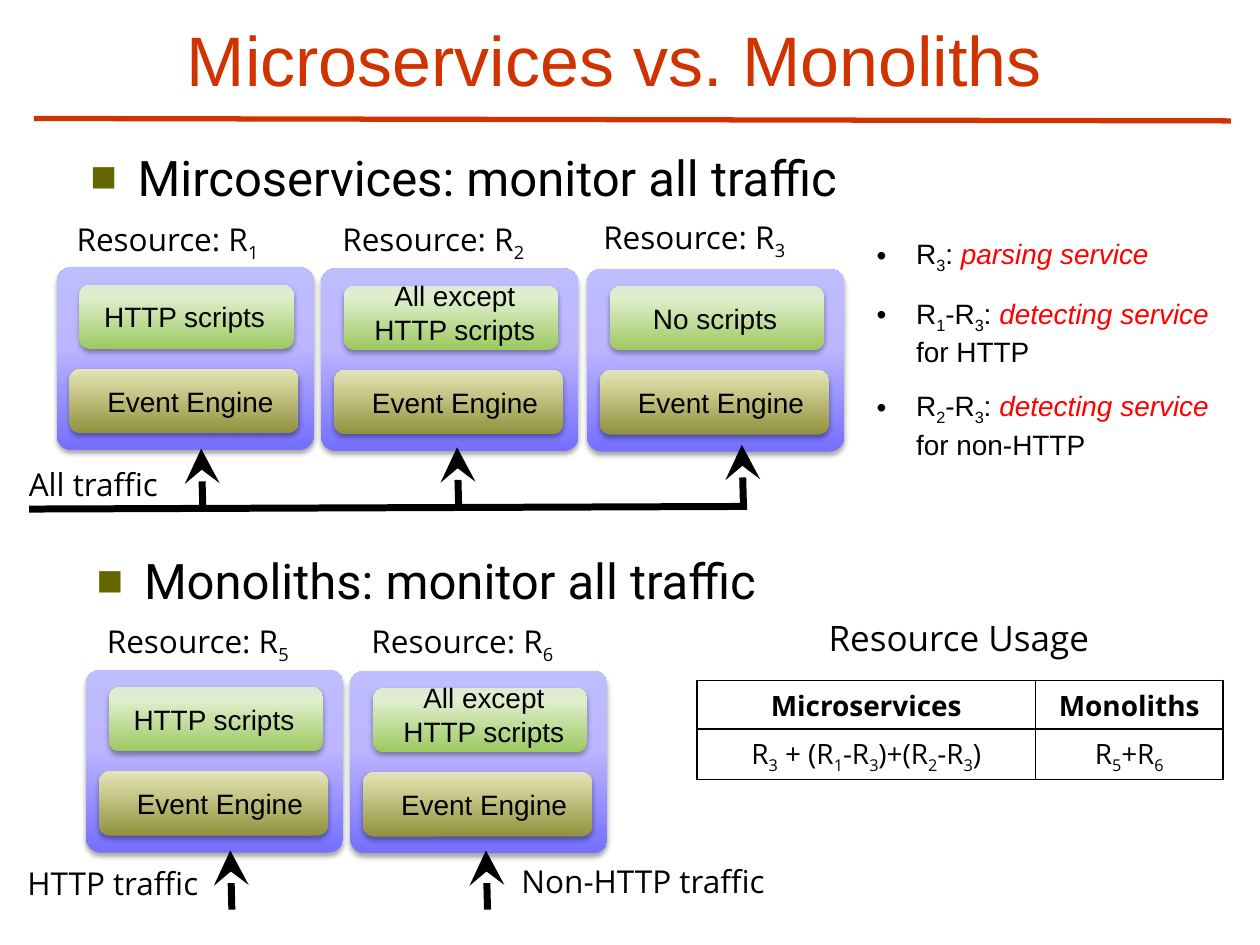
"""Builds the Microservices vs. Monoliths comparison slide."""
from lxml import etree
from pptx import Presentation
from pptx import util as u
from pptx.dml.color import RGBColor
from pptx.enum import shapes, text
from pptx.oxml.ns import qn

COLORS = {"black": "000000", "title": "D03200", "bullet": "666600", "service": "FF0000"}
GRADIENTS = {
    "card": [(0, "746FFF"), (57, "BCB5FF"), (100, "BEBEFF")],
    "engine": [(0, "91913E"), (80, "D5D59D"), (100, "E3E3BE")],
    "scripts": [(0, "9CC960"), (80, "DFEECC"), (100, "E1E8D4")],
}
CENTER = text.PP_ALIGN.CENTER
SANS, LABEL, HEADING = "Arial", "Open Sans", "Roboto"
ONE_LINE, TWO_LINES = (17.3, 15.1, 26.6), (20.5, 2.2, 46)


def rgb(name):
    return RGBColor.from_string(COLORS.get(name, name))


def child(parent, tag, **attrs):
    return etree.SubElement(parent, qn(tag), {k: str(v) for k, v in attrs.items()})


def add_run(p, words, size, font, color="black", bold=False, italic=False, sub=False):
    r = p.add_run()
    r.text = words
    r.font.size, r.font.name = u.Pt(size), font
    r.font.bold, r.font.italic = bold, italic
    r.font.color.rgb = rgb(color)
    if sub:
        r._r.get_or_add_rPr().set("baseline", "-25000")


def add_words(p, words, size, font, color="black", bold=False):
    """Adds runs; _ lowers the next character, * encloses a service name."""
    for i, part in enumerate(words.split("*")):
        style = dict(color="service", italic=True) if i % 2 else dict(color=color, bold=bold)
        for j, piece in enumerate(part.split("_")):
            if j:
                add_run(p, piece[0], size, font, sub=True, **style)
                piece = piece[1:]
            if piece:
                add_run(p, piece, size, font, **style)


def add_bullet(p, char, indent, color=None, percent=None):
    pPr = p._p.get_or_add_pPr()
    pPr.set("marL", str(u.Pt(indent)))
    pPr.set("indent", str(-u.Pt(indent)))
    if color:
        child(child(pPr, "a:buClr"), "a:srgbClr", val=COLORS[color])
    if percent:
        child(pPr, "a:buSzPct", val=percent * 1000)
    child(pPr, "a:buFont", typeface="Arial")
    child(pPr, "a:buChar", char=char)


def add_text(s, box, words, size, font, align=None, color="black", wrap=True):
    sp = s.shapes.add_textbox(*map(u.Pt, box))
    tf = sp.text_frame
    tf.word_wrap = wrap
    p = tf.paragraphs[0]
    p.alignment = align
    add_words(p, words, size, font, color)
    return tf


def add_heading(s, box, words):
    tf = add_text(s, box, words, 28, HEADING)
    add_bullet(tf.paragraphs[0], "■", 27, "bullet", 90)


def add_services(s, box, items):
    tf = add_text(s, box, items[0], 16, SANS)
    for item in items[1:]:
        add_words(tf.add_paragraph(), item, 16, SANS)
    for p in tf.paragraphs:
        p.space_before = p.space_after = u.Pt(6)
        add_bullet(p, "•", 22.5)


def add_block(s, box, kind, corner=0.17):
    sp = s.shapes.add_shape(shapes.MSO_SHAPE.ROUNDED_RECTANGLE, *map(u.Pt, box))
    sp.adjustments[0] = corner
    sp.fill.gradient()
    sp.fill.gradient_angle = 90
    sp.line.fill.background()
    sp.shadow.inherit = False
    spPr = sp._element.spPr
    stops = spPr.find(".//" + qn("a:gsLst"))
    for gs in list(stops):
        stops.remove(gs)
    for pos, color in GRADIENTS[kind]:
        child(child(stops, "a:gs", pos=pos * 1000), "a:srgbClr", val=color)
    shadow = child(spPr.find(qn("a:effectLst")), "a:outerShdw", blurRad=u.Pt(3.1),
                   dist=u.Pt(1.8), dir=5400000, rotWithShape=0)
    child(child(shadow, "a:srgbClr", val=COLORS["black"]), "a:alpha", val=35000)


def add_line(s, ends, width, color="black", arrow=False):
    cn = s.shapes.add_connector(shapes.MSO_CONNECTOR.STRAIGHT, *map(u.Pt, ends))
    cn.line.width = u.Pt(width)
    cn.line.color.rgb = rgb(color)
    if arrow:
        child(cn.line._get_or_add_ln(), "a:tailEnd", type="stealth", w="lg", len="lg")
    child(cn._element.spPr, "a:effectLst")


def add_resource(s, x, y, number, scripts, layout, label, arrow):
    add_block(s, (x, y, 146.9, 104.4), "card", 0.08)
    add_block(s, (x + 7.3, y + 58, 131, 36.7), "engine")
    add_text(s, (x + 21, y + 63.2, 110.9, 26.6), "Event Engine", 16, SANS, CENTER)
    add_block(s, (x + 13, y + 9.9, 122.4, 36.7), "scripts")
    dx, dy, h = layout
    add_text(s, (x + dx, y + dy, 111.6, h), scripts, 16, SANS, CENTER)
    add_text(s, (*label, 132.5, 28.8), f"Resource: R_{number}", 18, LABEL, wrap=False)
    ax, ay = arrow
    add_line(s, (ax, ay, ax - 0.9, ay - 33.8), 4, arrow=True)


def add_usage_table(s, box, widths, rows):
    table = s.shapes.add_table(len(rows), len(widths), *map(u.Pt, box)).table
    table.first_row = table.horz_banding = False
    for col, width in zip(table.columns, widths):
        col.width = u.Pt(width)
    for i, row in enumerate(rows):
        for j, words in enumerate(row):
            cell = table.cell(i, j)
            tcPr = cell._tc.get_or_add_tcPr()
            for side in ("a:lnL", "a:lnR", "a:lnT", "a:lnB"):
                ln = child(tcPr, side, w=u.Pt(1))
                child(child(ln, "a:solidFill"), "a:srgbClr", val=COLORS["black"])
            cell.fill.background()
            p = cell.text_frame.paragraphs[0]
            p.alignment = CENTER
            add_words(p, words, 16, LABEL, bold=i == 0)


def main():
    prs = Presentation()
    prs.slide_width, prs.slide_height = u.Pt(720), u.Pt(540)
    s = prs.slides.add_slide(prs.slide_layouts[6])

    add_line(s, (19.4, 67.7, 703.4, 69.1), 3, "title")
    title = add_text(s, (43.9, 15.8, 614.2, 45.4), "Microservices vs. Monoliths",
                     40, SANS, CENTER, "title")
    title.vertical_anchor = text.MSO_ANCHOR.BOTTOM
    add_heading(s, (44.6, 80.6, 608.4, 41.8), "Mircoservices: monitor all traffic")
    add_heading(s, (48.2, 311, 608.4, 40.3), "Monoliths: monitor all traffic")

    http, other = "HTTP scripts", "All except HTTP scripts"
    for resource in (
        (32.4, 152.8, 1, http, ONE_LINE, (36.7, 122.4), (115.9, 290.2)),
        (183.6, 153.4, 2, other, TWO_LINES, (188.6, 122.4), (262.1, 289.4)),
        (335.5, 153.6, 3, "No scripts", ONE_LINE, (337.7, 121), (424.8, 288)),
        (49.2, 382.8, 5, http, ONE_LINE, (54, 352.1), (132.5, 519.8)),
        (200.2, 383.3, 6, other, TWO_LINES, (205.2, 352.1), (278.6, 519.8)),
    ):
        add_resource(s, *resource)

    add_line(s, (16.6, 290.9, 427, 289.4), 4)
    for x, y, width, words in (
        (9.4, 262.1, 95.8, "All traffic"),
        (8.6, 490.3, 120.2, "HTTP traffic"),
        (290.9, 488.9, 164.2, "Non-HTTP traffic"),
    ):
        add_text(s, (x, y, width, 28.8), words, 18, LABEL, wrap=False)

    add_services(s, (493.9, 131.8, 212.4, 128.2), [
        "R_3: *parsing service*",
        "R_1-R_3: *detecting service* for HTTP",
        "R_2-R_3: *detecting service* for non-HTTP",
    ])
    add_text(s, (397.4, 348.5, 301, 31.7), "Resource Usage", 20, LABEL, CENTER)
    add_usage_table(s, (398.2, 388.8, 300.6, 55.4), (193.6, 107), [
        ("Microservices", "Monoliths"),
        ("R_3 + (R_1-R_3)+(R_2-R_3)", "R_5+R_6"),
    ])
    prs.save("out.pptx")


main()
